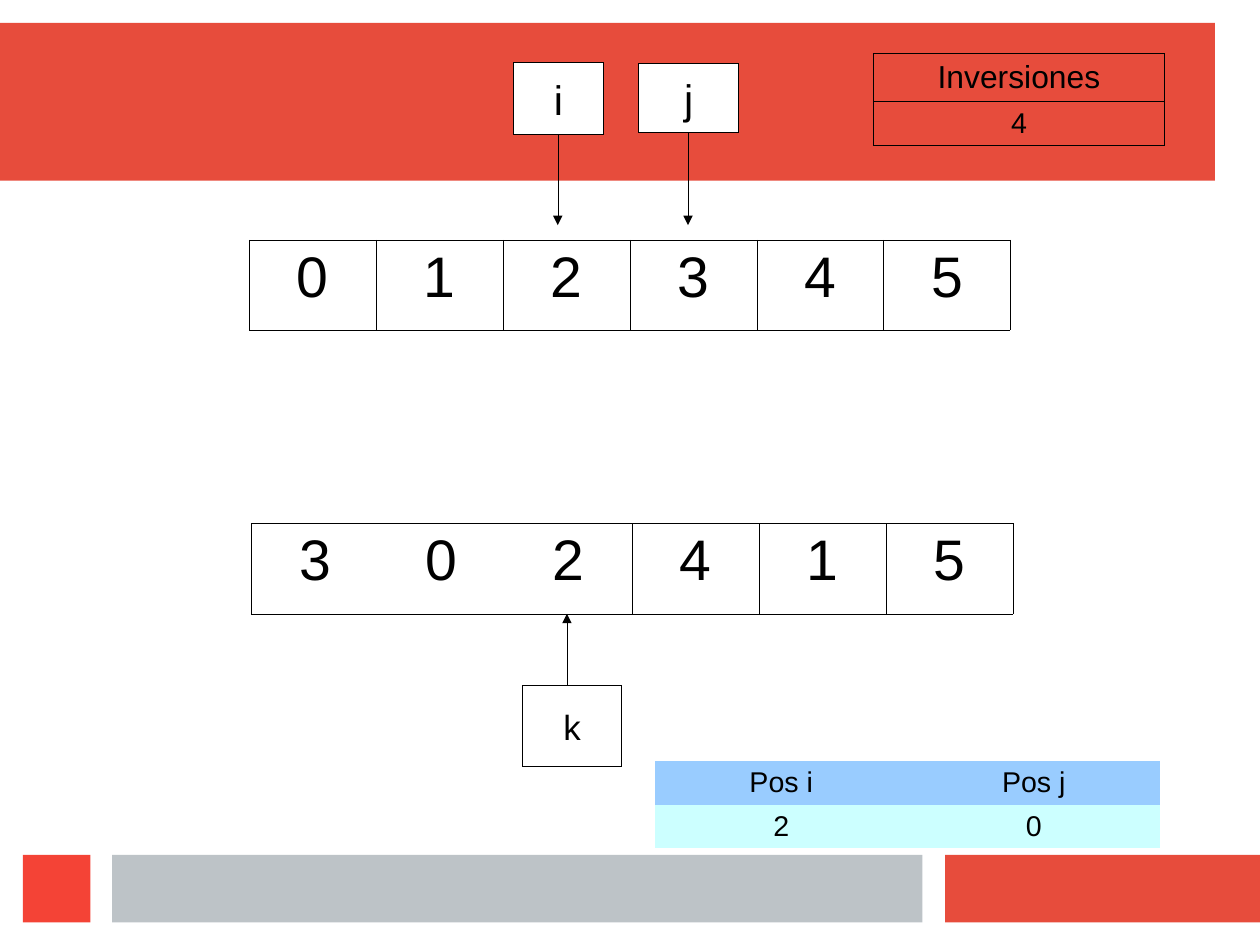
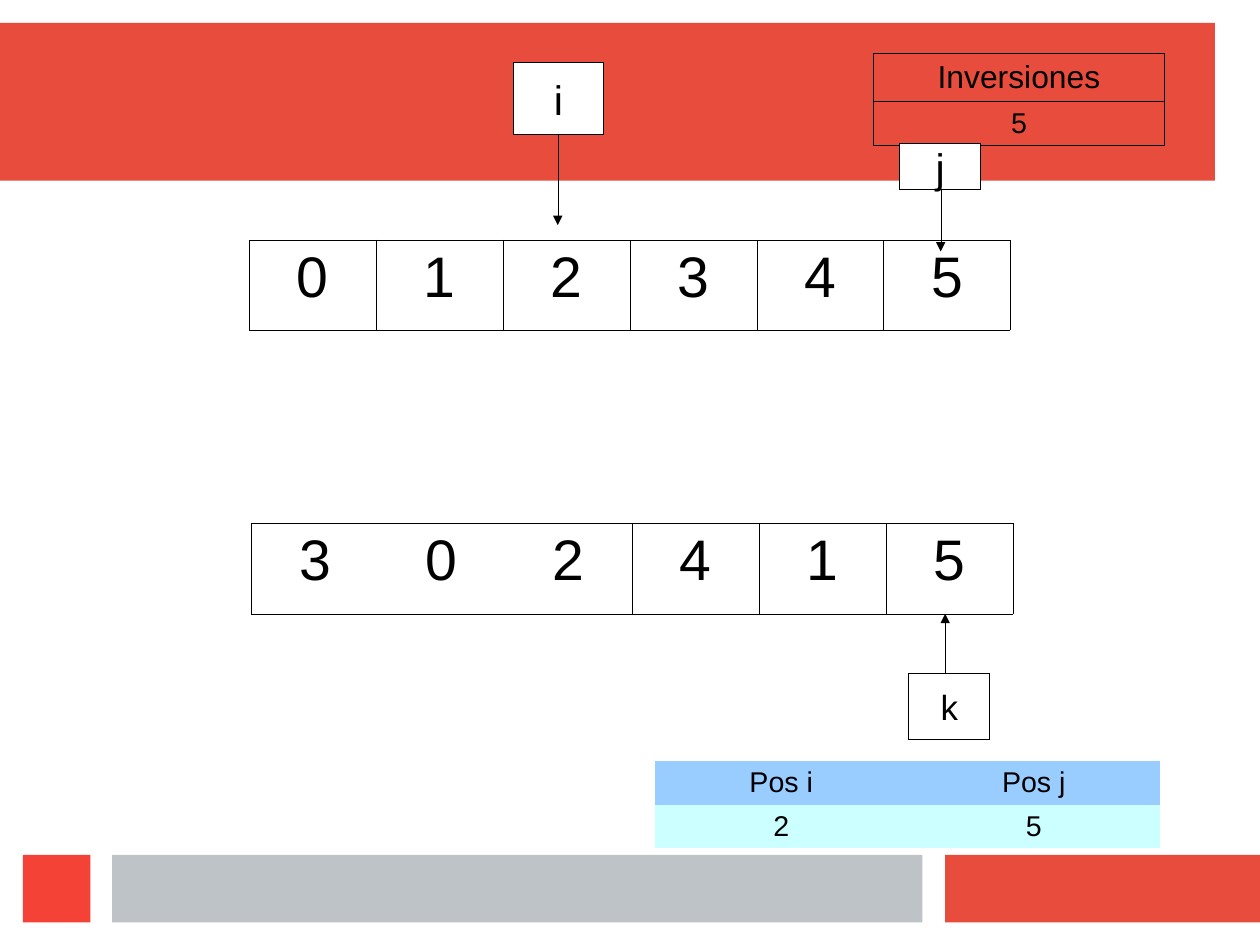
from dataclasses import dataclass

from lxml.etree import SubElement
from pptx import Presentation
from pptx.dml.color import RGBColor
from pptx.enum.shapes import MSO_CONNECTOR, MSO_SHAPE
from pptx.enum.text import MSO_ANCHOR, PP_ALIGN
from pptx.oxml.ns import qn
from pptx.util import Cm, Inches, Pt


@dataclass(frozen=True)
class Theme:
    font: str = "Arial"
    ink: str = "000000"
    paper: str = "FFFFFF"
    red: str = "E74C3C"
    bright_red: str = "F44336"
    grey: str = "BDC3C7"
    header_blue: str = "99CCFF"
    value_blue: str = "CCFFFF"
    number_size: int = 36
    pointer_size: int = 26
    k_size: int = 22
    heading_size: int = 20
    value_size: int = 18
    hairline: float = 0.06
    counter_line: float = 0.57


theme = Theme()


def write_text(frame, text, size):
    para = frame.paragraphs[0]
    para.alignment = PP_ALIGN.CENTER
    span = para.add_run()
    span.text = text
    span.font.name = theme.font
    span.font.size = Pt(size)
    span.font.color.rgb = RGBColor.from_string(theme.ink)


def add_grid(page, left, top, column_width, row_heights, rows, sizes,
             fills=None, border=None, open_joints=()):
    """Add a table; open_joints numbers the columns with no line on their right."""
    column_count = len(rows[0])
    table = page.shapes.add_table(
        len(rows), column_count, Inches(left), Inches(top),
        Inches(column_width * column_count), Inches(sum(row_heights))).table
    table.first_row = False
    table.horz_banding = False
    for column in table.columns:
        column.width = Inches(column_width)
    for row_number, values in enumerate(rows):
        table.rows[row_number].height = Inches(row_heights[row_number])
        for column_number, value in enumerate(values):
            cell = table.cell(row_number, column_number)
            write_text(cell.text_frame, value, sizes[row_number])
            open_sides = {"lnL": column_number - 1 in open_joints,
                          "lnR": column_number in open_joints}
            properties = cell._tc.get_or_add_tcPr()
            for side in ("lnL", "lnR", "lnT", "lnB"):
                edge = SubElement(properties, qn(f"a:{side}"))
                if border is None or open_sides.get(side):
                    SubElement(edge, qn("a:noFill"))
                else:
                    edge.set("w", str(int(Pt(border))))
                    paint = SubElement(edge, qn("a:solidFill"))
                    SubElement(paint, qn("a:srgbClr"), val=theme.ink)
            if fills:
                cell.fill.solid()
                cell.fill.fore_color.rgb = RGBColor.from_string(fills[row_number])
            else:
                cell.fill.background()


deck = Presentation()
deck.slide_width = Cm(28)
deck.slide_height = Cm(21)
layout = deck.slide_layouts.get_by_name("Blank")
for placeholder in list(layout.placeholders):
    layout.shapes.element.remove(placeholder.element)

# Each pointer: label, text size, box left, top, width, height, arrow x, arrow end
pointer_i = ("i", theme.pointer_size, 4.49, 0.55, 0.79, 0.63, 4.88, 1.97)
steps = [
    {"inversions": "4", "positions": ["2", "0"], "pointers": [
        pointer_i,
        ("j", theme.pointer_size, 5.59, 0.56, 0.87, 0.6, 6.02, 1.97),
        ("k", theme.k_size, 4.57, 6, 0.87, 0.71, 4.96, 5.37)]},
    {"inversions": "5", "positions": ["2", "5"], "pointers": [
        pointer_i,
        ("j", theme.pointer_size, 7.87, 1.26, 0.71, 0.4, 8.23, 2.2),
        ("k", theme.k_size, 7.95, 5.89, 0.71, 0.58, 8.27, 5.37)]},
]
pages = [deck.slides.add_slide(layout) for step in steps]

# Shared bands: drawn on a slide, then moved to the layout
bands = [
    (0, 0.2, 10.63, 1.38, theme.red),
    (8.27, 7.48, 2.76, 0.59, theme.red),
    (0.98, 7.48, 7.09, 0.59, theme.grey),
    (0.2, 7.48, 0.59, 0.59, theme.bright_red),
]
band_shapes = []
for *place, colour in bands:
    band = pages[0].shapes.add_shape(MSO_SHAPE.RECTANGLE, *map(Inches, place))
    band.shadow.inherit = False
    band.fill.solid()
    band.fill.fore_color.rgb = RGBColor.from_string(colour)
    band.line.fill.background()
    band_shapes.append(band)
for band in band_shapes:
    layout.shapes.element.append(band.element)

for page, step in zip(pages, steps):
    add_grid(page, 2.18, 2.1, 1.11, [0.79], ["012345"],
             [theme.number_size], border=theme.hairline)
    add_grid(page, 2.2, 4.58, 1.11, [0.79], ["302415"],
             [theme.number_size], border=theme.hairline, open_joints=(0, 1))
    add_grid(page, 5.73, 6.66, 2.21, [0.38, 0.38],
             [["Pos i", "Pos j"], step["positions"]],
             [theme.value_size, theme.value_size],
             fills=[theme.header_blue, theme.value_blue])
    add_grid(page, 7.64, 0.47, 2.55, [0.42, 0.38],
             [["Inversiones"], [step["inversions"]]],
             [theme.heading_size, theme.value_size], border=theme.counter_line)

    for label, size, left, top, width, height, arrow_x, arrow_end in step["pointers"]:
        arrow_start = top + height if arrow_end > top else top
        arrow = page.shapes.add_connector(
            MSO_CONNECTOR.STRAIGHT, Inches(arrow_x), Inches(arrow_start),
            Inches(arrow_x), Inches(arrow_end))
        box = page.shapes.add_shape(MSO_SHAPE.RECTANGLE, Inches(left), Inches(top),
                                    Inches(width), Inches(height))
        for outlined in (arrow, box):
            outlined.line.color.rgb = RGBColor.from_string(theme.ink)
            # A zero width has to be written out, or the style's width applies
            outlined.line._get_or_add_ln().set("w", "0")
        SubElement(arrow.line._get_or_add_ln(), qn("a:tailEnd"), type="triangle")
        SubElement(arrow.element.spPr, qn("a:effectLst"))

        box.shadow.inherit = False
        box.fill.solid()
        box.fill.fore_color.rgb = RGBColor.from_string(theme.paper)
        box.text_frame.word_wrap = False
        box.text_frame.vertical_anchor = MSO_ANCHOR.MIDDLE
        write_text(box.text_frame, label, size)

deck.save("out.pptx")
